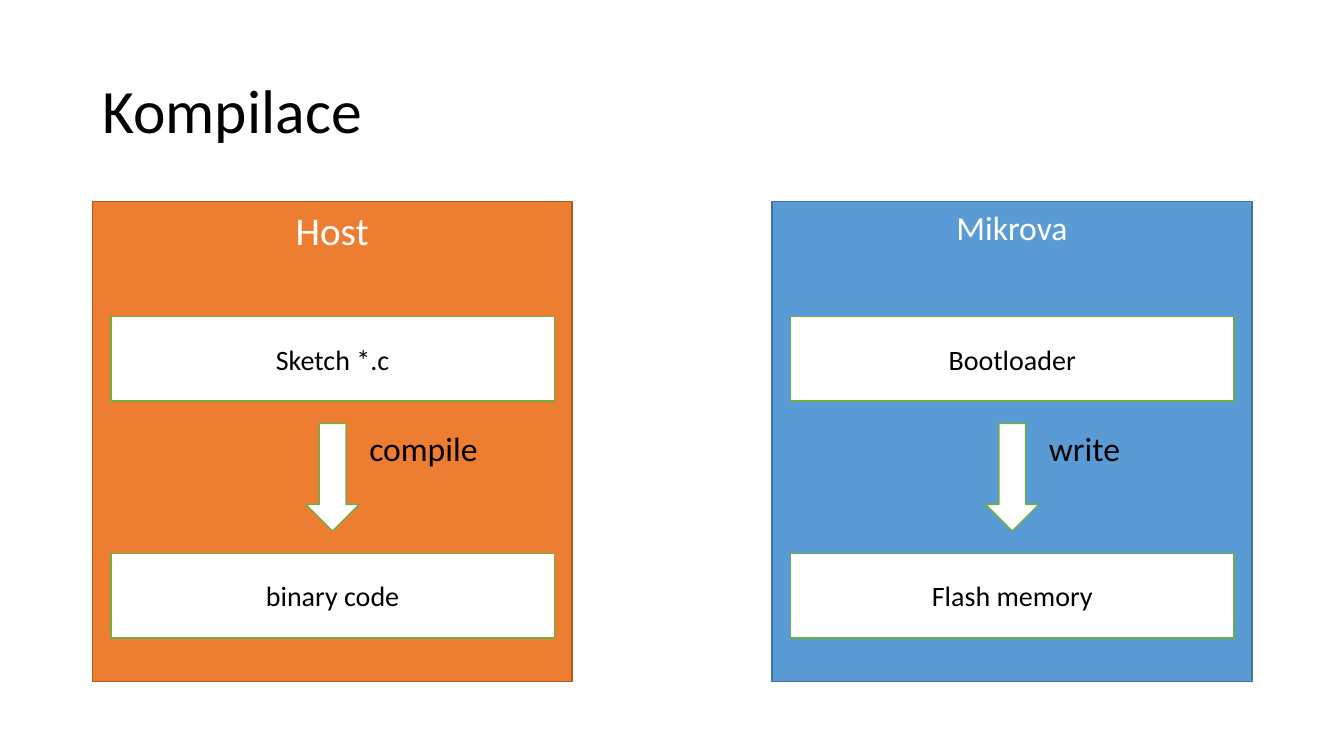
"""Build the slide on compiling a sketch and writing it to a board."""
from typing import NamedTuple

from pptx import Presentation
from pptx.dml.color import RGBColor
from pptx.enum.shapes import MSO_SHAPE
from pptx.enum.text import MSO_ANCHOR, MSO_AUTO_SIZE, PP_ALIGN
from pptx.shapes.autoshape import Shape
from pptx.slide import Slide
from pptx.util import Pt

FONT = "Calibri"
BLACK, WHITE, GREEN = "000000", "FFFFFF", "70AD47"
PANEL_TOP, PANEL_SIDE = 144, 342.7
BOX_INSET, BOX_WIDTH, BOX_HEIGHT = 13.2, 316.8, 60.5
BOX_TOPS = (226.1, 395.3)
ARROW_TOP, ARROW_WIDTH, ARROW_HEIGHT = 302.4, 38.2, 77


class Panel(NamedTuple):
    left: float
    heading: str
    heading_size: float
    fill: str
    line: str
    boxes: tuple[str, str]
    action: str
    action_width: float


PANELS = (
    Panel(66, "Host", 28, "ED7D31", "AF5C24", ("Sketch *.c", "binary code"), "compile", 92.9),
    Panel(551.5, "Mikrova", 24, "5B9BD5", "43739E", ("Bootloader", "Flash memory"), "write", 65.5),
)


def rgb(value: str) -> RGBColor:
    return RGBColor.from_string(value)


def write_text(shape: Shape, text: str, size: float, color: str,
               align: PP_ALIGN, anchor: MSO_ANCHOR) -> None:
    frame = shape.text_frame
    frame.text = text
    frame.vertical_anchor = anchor
    paragraph = frame.paragraphs[0]
    paragraph.alignment = align
    font = paragraph.runs[0].font
    font.name, font.size = FONT, Pt(size)
    font.color.rgb = rgb(color)


def add_outlined(slide: Slide, kind: MSO_SHAPE, left: float, top: float,
                 width: float, height: float, fill: str, line: str) -> Shape:
    shape = slide.shapes.add_shape(kind, Pt(left), Pt(top), Pt(width), Pt(height))
    shape.shadow.inherit = False
    shape.fill.solid()
    shape.fill.fore_color.rgb = rgb(fill)
    shape.line.color.rgb = rgb(line)
    shape.line.width = Pt(1)
    return shape


def add_title(slide: Slide, text: str) -> None:
    title = slide.shapes.title
    title.left, title.top, title.width, title.height = Pt(66), Pt(28.8), Pt(828), Pt(104.4)
    write_text(title, text, 44, BLACK, PP_ALIGN.LEFT, MSO_ANCHOR.MIDDLE)
    title.text_frame.paragraphs[0].line_spacing = 0.9


def add_panel(slide: Slide, panel: Panel) -> None:
    frame = add_outlined(slide, MSO_SHAPE.RECTANGLE, panel.left, PANEL_TOP,
                         PANEL_SIDE, PANEL_SIDE, panel.fill, panel.line)
    write_text(frame, panel.heading, panel.heading_size, WHITE,
               PP_ALIGN.CENTER, MSO_ANCHOR.TOP)

    box_left = panel.left + BOX_INSET
    for top, text in zip(BOX_TOPS, panel.boxes):
        box = add_outlined(slide, MSO_SHAPE.RECTANGLE, box_left, top,
                           BOX_WIDTH, BOX_HEIGHT, WHITE, GREEN)
        write_text(box, text, 20, BLACK, PP_ALIGN.CENTER, MSO_ANCHOR.MIDDLE)

    arrow_left = box_left + (BOX_WIDTH - ARROW_WIDTH) / 2
    add_outlined(slide, MSO_SHAPE.DOWN_ARROW, arrow_left, ARROW_TOP,
                 ARROW_WIDTH, ARROW_HEIGHT, WHITE, GREEN)
    action = slide.shapes.add_textbox(Pt(arrow_left + ARROW_WIDTH), Pt(ARROW_TOP),
                                      Pt(panel.action_width), Pt(36))
    write_text(action, panel.action, 24, BLACK, PP_ALIGN.LEFT, MSO_ANCHOR.TOP)
    action.text_frame.word_wrap = False
    action.text_frame.auto_size = MSO_AUTO_SIZE.SHAPE_TO_FIT_TEXT


def main() -> None:
    presentation = Presentation()
    presentation.slide_width, presentation.slide_height = Pt(960), Pt(540)
    slide = presentation.slides.add_slide(presentation.slide_layouts.get_by_name("Title Only"))
    add_title(slide, "Kompilace")
    for panel in PANELS:
        add_panel(slide, panel)
    presentation.save("out.pptx")


main()
